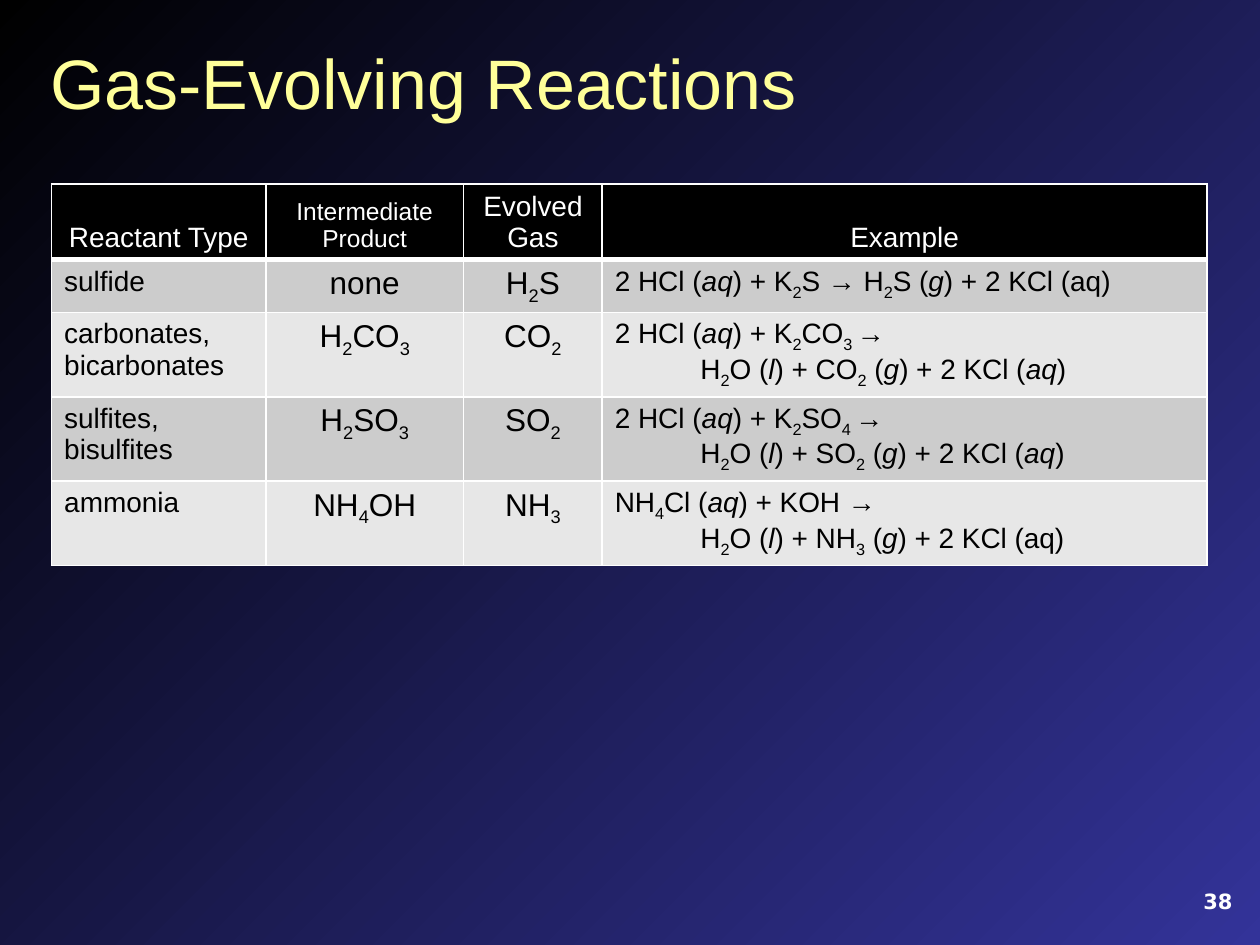
"""Build the slide on gas-evolving reactions."""
from pptx import Presentation, util as u
from pptx.dml.color import RGBColor
from pptx.enum import text
from pptx.oxml import parse_xml
from pptx.oxml.ns import nsdecls

LEFT, CENTER, RIGHT = text.PP_ALIGN.LEFT, text.PP_ALIGN.CENTER, text.PP_ALIGN.RIGHT
TOP, MIDDLE, BOTTOM = text.MSO_ANCHOR.TOP, text.MSO_ANCHOR.MIDDLE, text.MSO_ANCHOR.BOTTOM

HEADERS = [("Reactant Type", 16), ("Intermediate Product", 14), ("Evolved Gas", 16), ("Example", 16)]
REACTIONS = [
    ("sulfide", "none", "H_2_S", "2 HCl (*aq*) + K_2_S → H_2_S (*g*) + 2 KCl (aq)"),
    ("carbonates, bicarbonates", "H_2_CO_3_", "CO_2_",
     "2 HCl (*aq*) + K_2_CO_3 _→\nH_2_O (*l*) + CO_2_ (*g*) + 2 KCl (*aq*)"),
    ("sulfites, bisulfites", "H_2_SO_3_", "SO_2_",
     "2 HCl (*aq*) + K_2_SO_4 _→\nH_2_O (*l*) + SO_2_ (*g*) + 2 KCl (*aq*)"),
    ("ammonia", "NH_4_OH", "NH_3_",
     "NH_4_Cl (*aq*) + KOH →\nH_2_O (*l*) + NH_3_ (*g*) + 2 KCl (aq)"),
]
BODY_FORMATS = [(16, LEFT), (18, CENTER), (18, CENTER), (16, LEFT)]


def rgb(value):
    """Return the colour for a hex string."""
    return RGBColor.from_string(value)


def write(tf, content, size=16, color="000000", font="Arial", bold=False, align=LEFT, indent=0.68):
    """Write lines where _x_ is subscript and *x* italic, indenting continuation lines."""
    for n, line in enumerate(content.split("\n")):
        p = tf.add_paragraph() if n else tf.paragraphs[0]
        p.alignment = align
        if n:
            p._p.get_or_add_pPr().set("marL", str(u.Inches(indent)))
        for i, part in enumerate(line.split("*")):
            for j, piece in enumerate(part.split("_")):
                if not piece:
                    continue
                r = p.add_run()
                r.text = piece
                r.font.name, r.font.size, r.font.bold = font, u.Pt(size), bold
                r.font.color.rgb = rgb(color)
                if i % 2:
                    r.font.italic = True
                if j % 2:
                    r.font._element.set("baseline", "-25000")


class Deck:
    """Hold the style and the current slide."""

    def __init__(self):
        """Start a presentation with one title-only slide."""
        self.prs = Presentation()
        self.prs.slide_width, self.prs.slide_height = u.Inches(10), u.Inches(7.5)
        self.s = self.prs.slides.add_slide(self.prs.slide_layouts[5])
        self.white, self.black, self.accent = "FFFFFF", "000000", "FFFF99"
        self.bands = ["CCCCCC", "E7E7E7"]

    def background(self, start, end):
        """Fill the background with a diagonal gradient."""
        fill = self.s.background.fill
        fill.gradient()
        fill.gradient_angle = 315
        for stop, color in zip(fill.gradient_stops, (start, end)):
            stop.color.rgb = rgb(color)

    def title(self, content, *box):
        """Place and format the title."""
        sp = self.s.shapes.title
        sp.left, sp.top, sp.width, sp.height = map(u.Inches, box)
        sp.text_frame.vertical_anchor = MIDDLE
        write(sp.text_frame, content, size=40, color=self.accent)

    def label(self, content, *box, **fmt):
        """Add a text box."""
        tf = self.s.shapes.add_textbox(*map(u.Inches, box)).text_frame
        tf.word_wrap = True
        tf.vertical_anchor = MIDDLE
        write(tf, content, **fmt)

    def cell(self, cell, content, fill, anchor, top=1, bottom=1, **fmt):
        """Format one table cell with borders, fill and text."""
        tc_pr = cell._tc.get_or_add_tcPr()
        for side, width in (("L", 1), ("R", 1), ("T", top), ("B", bottom)):
            tc_pr.append(parse_xml(
                f'<a:ln{side} {nsdecls("a")} w="{u.Pt(width)}"><a:solidFill>'
                f'<a:srgbClr val="{self.white}"/></a:solidFill></a:ln{side}>'))
        cell.fill.solid()
        cell.fill.fore_color.rgb = rgb(fill)
        cell.vertical_anchor = anchor
        write(cell.text_frame, content, **fmt)

    def table(self, left, top, widths, heights):
        """Add the reaction table."""
        box = map(u.Inches, (left, top, sum(widths), sum(heights)))
        table = self.s.shapes.add_table(len(heights), len(widths), *box).table
        for column, width in zip(table.columns, widths):
            column.width = u.Inches(width)
        for row, height in zip(table.rows, heights):
            row.height = u.Inches(height)
        for c, (content, size) in enumerate(HEADERS):
            self.cell(table.cell(0, c), content, self.black, BOTTOM, bottom=3,
                      size=size, color=self.white, align=CENTER)
        for n, reaction in enumerate(REACTIONS):
            for c, (content, (size, align)) in enumerate(zip(reaction, BODY_FORMATS)):
                self.cell(table.cell(n + 1, c), content, self.bands[n % 2], TOP,
                          top=1 if n else 3, size=size, align=align)


def main():
    """Build and save the slide."""
    deck = Deck()
    deck.background("000000", "333399")
    deck.table(0.41, 1.46, [1.7, 1.57, 1.1, 4.8], [0.6, 0.41] + [0.67] * 3)
    deck.title("Gas-Evolving Reactions", 0.3, 0.26, 9.3, 0.77)
    deck.label("38", 7.63, 6.95, 2.25, 0.4, size=12, color=deck.white,
               font="DejaVu Sans", bold=True, align=RIGHT)
    deck.prs.save("out.pptx")


if __name__ == "__main__":
    main()
